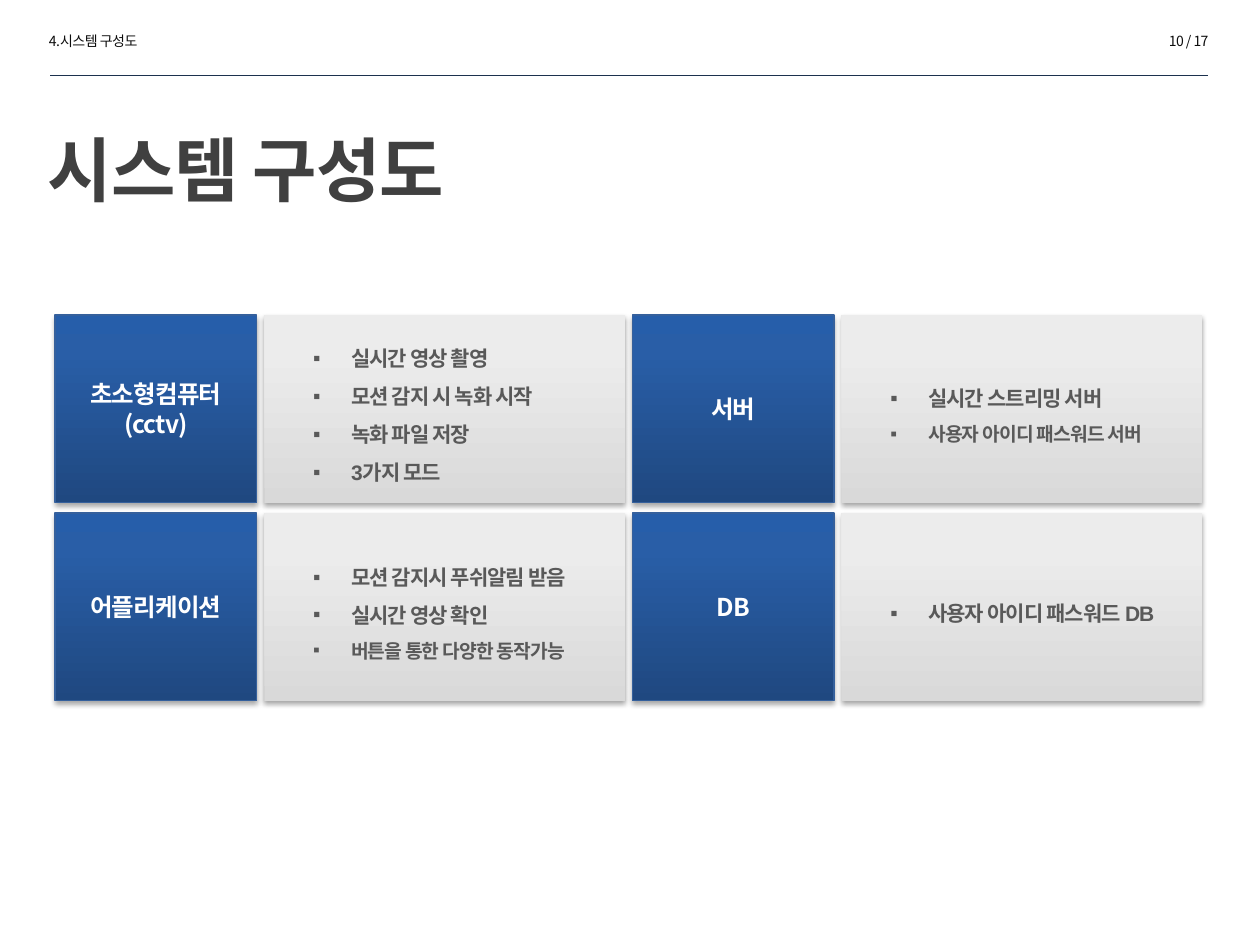
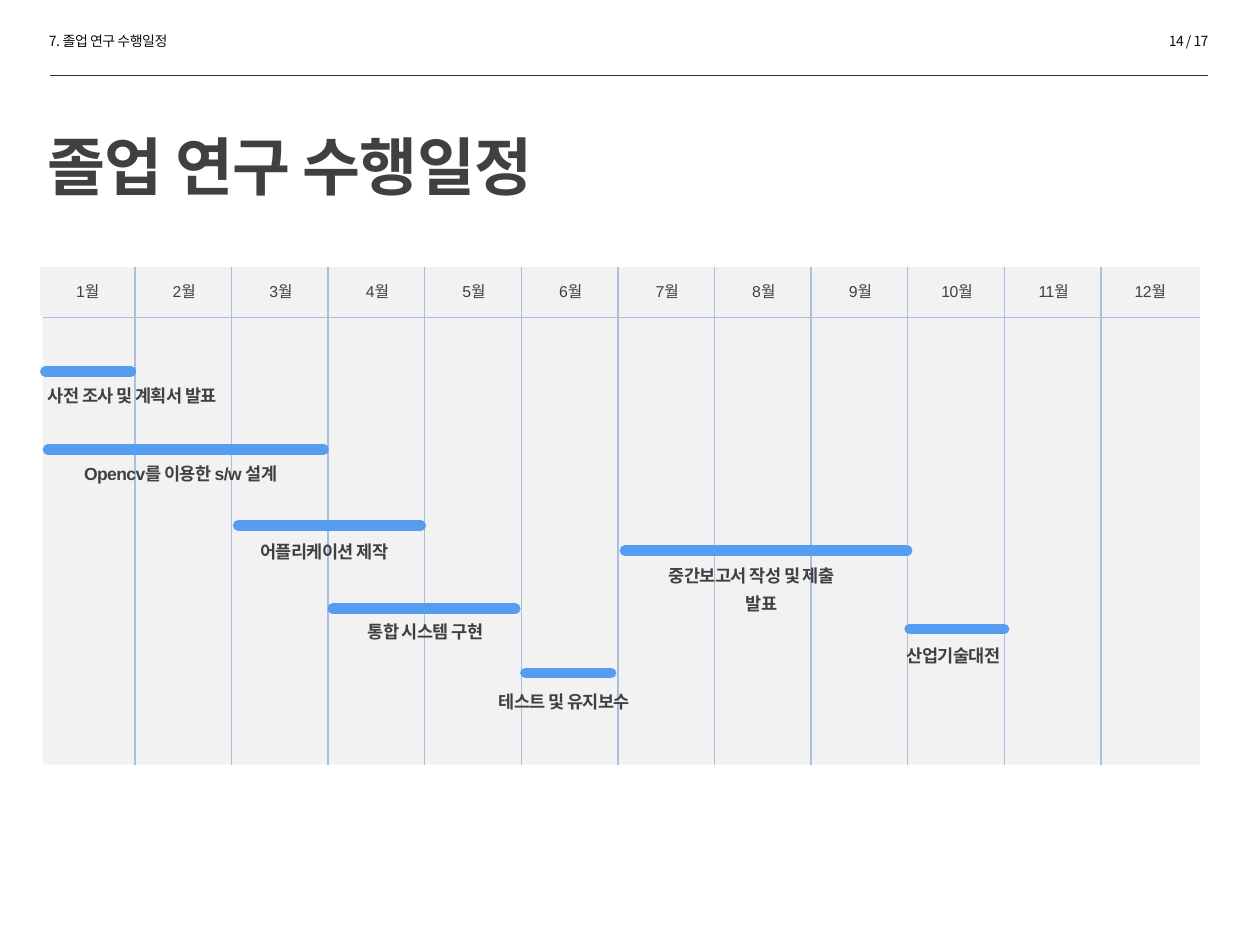
from dataclasses import dataclass

from lxml import etree
from pptx import Presentation
from pptx.dml.color import RGBColor
from pptx.enum.shapes import MSO_CONNECTOR, MSO_SHAPE
from pptx.enum.text import MSO_ANCHOR, PP_ALIGN
from pptx.oxml.ns import qn
from pptx.util import Pt

RECTANGLE = MSO_SHAPE.RECTANGLE
STRAIGHT = MSO_CONNECTOR.STRAIGHT
LEFT, CENTER, RIGHT = PP_ALIGN.LEFT, PP_ALIGN.CENTER, PP_ALIGN.RIGHT
TOP, MIDDLE = MSO_ANCHOR.TOP, MSO_ANCHOR.MIDDLE


@dataclass(frozen=True)
class Theme:
    body_font: str = "Arial"
    korean_font: str = "Noto Sans CJK KR"
    running_text: str = "0D0D0D"
    heading: str = "404040"
    body_text: str = "595959"
    white: str = "FFFFFF"
    header_rule: str = "1C314E"
    name_border: str = "35609C"
    name_gradient: tuple = ((0, "1F4880"), (80, "295EA7"), (100, "265EAA"))
    detail_gradient: tuple = ((0, "D9D9D9"), (80, "ECECEC"))
    panel: str = "F2F2F2"
    grid: str = "A8BFDF"
    bar: str = "569CF0"
    running_size: float = 8
    name_size: float = 14
    detail_size: float = 12
    small_detail_size: float = 11
    month_size: float = 9
    task_size: float = 10


THEME = Theme()

COMPONENTS = [
    (0, 0, ["초소형컴퓨터", "(cctv)"],
     ["실시간 영상 촬영", "모션 감지 시 녹화 시작", "녹화 파일 저장", "3가지 모드"]),
    (0, 1, ["어플리케이션"],
     ["모션 감지시 푸쉬알림 받음", "실시간 영상 확인", "버튼을 통한 다양한 동작가능"]),
    (1, 0, ["서버"], ["실시간 스트리밍 서버", "사용자 아이디 패스워드 서버"]),
    (1, 1, ["DB"], ["사용자 아이디 패스워드 DB"]),
]
SMALL_DETAILS = {"버튼을 통한 다양한 동작가능", "사용자 아이디 패스워드 서버"}

TASK_LABELS = [
    ("사전 조사 및 계획서 발표", -4.3, 62.7, 129),
    ("Opencv를 이용한 s/w 설계", 16.5, 107.3, 136),
    ("어플리케이션 제작", 117.3, 152, 103),
    ("통합 시스템 구현", 178.5, 197.3, 92),
    ("테스트 및 유지보수", 253.4, 237.6, 103),
    ("중간보고서 작성 및 제출", 350.6, 165.6, 124),
    ("발표", 394.5, 181.5, 38),
    ("산업기술대전", 486.7, 211, 75),
]
TASK_BARS = [
    (1.4, 50.4, 59.8),
    (2.9, 160.5, 104.4),
    (111.6, 216, 147.6),
    (165.6, 270, 195.2),
    (275.7, 324.7, 231.9),
    (332.6, 493.9, 162),
    (495.3, 549.3, 206.7),
]


def write_text(shape, lines, *, size, color, font=THEME.body_font, bold=False,
               align=LEFT, anchor=TOP, spacing=None, tracking=-30,
               wrap=True, bullet=None, sizes=None):
    frame = shape.text_frame
    frame.word_wrap = wrap
    frame.vertical_anchor = anchor
    for index, line in enumerate(lines):
        paragraph = frame.paragraphs[0] if index == 0 else frame.add_paragraph()
        paragraph.alignment = align
        if spacing:
            paragraph.line_spacing = spacing
        if bullet:
            properties = paragraph._p.get_or_add_pPr()
            properties.set("marL", str(Pt(42.5)))
            properties.set("indent", str(-Pt(21.6)))
            etree.SubElement(properties, qn("a:buFont"), typeface=THEME.body_font)
            etree.SubElement(properties, qn("a:buChar"), char=bullet)
        run = paragraph.add_run()
        run.text = line
        run.font.size = Pt((sizes or {}).get(line, size))
        run.font.bold = bold
        run.font.name = font
        run.font.color.rgb = RGBColor.from_string(color)
        run_properties = run._r.get_or_add_rPr()
        run_properties.set("spc", str(tracking))
        etree.SubElement(run_properties, qn("a:ea"), typeface=THEME.korean_font)


def add_label(slide, box, text, **text_format):
    label = slide.shapes.add_textbox(*map(Pt, box))
    write_text(label, [text], **text_format)


def add_panel(slide, box, fill=None):
    panel = slide.shapes.add_shape(RECTANGLE, *map(Pt, box))
    panel.shadow.inherit = False
    panel.line.fill.background()
    if fill:
        panel.fill.solid()
        panel.fill.fore_color.rgb = RGBColor.from_string(fill)
    return panel


def add_raised_panel(slide, box, gradient):
    panel = add_panel(slide, box)
    panel.fill.gradient()
    panel.fill.gradient_angle = 90
    properties = panel._element.spPr
    stops = properties.find(qn("a:gradFill")).find(qn("a:gsLst"))
    for stop in list(stops):
        stops.remove(stop)
    for position, color in gradient:
        stop = etree.SubElement(stops, qn("a:gs"), pos=str(position * 1000))
        etree.SubElement(stop, qn("a:srgbClr"), val=color)
    shadow = etree.SubElement(
        properties.find(qn("a:effectLst")), qn("a:outerShdw"),
        blurRad=str(Pt(3.1)), dist=str(Pt(1.8)), dir="5400000", rotWithShape="0")
    shade = etree.SubElement(shadow, qn("a:srgbClr"), val="000000")
    etree.SubElement(shade, qn("a:alpha"), val="35000")
    return panel


def add_line(slide, start, end, color, width, round_ends=False):
    line = slide.shapes.add_connector(STRAIGHT, *map(Pt, (*start, *end)))
    line.line.color.rgb = RGBColor.from_string(color)
    line.line.width = Pt(width)
    if round_ends:
        line.line._get_or_add_ln().set("cap", "rnd")
    etree.SubElement(line._element.spPr, qn("a:effectLst"))


def add_header(slide, section, page, title, title_box, title_size):
    running = dict(size=THEME.running_size, color=THEME.running_text,
                   font=THEME.korean_font)
    add_label(slide, (20.9, 15.1, 124.6, 17.3), section, **running)
    add_label(slide, (573.1, 15.1, 124.6, 17.3), page, align=RIGHT, **running)
    add_line(slide, (28.8, 43.2), (690.5, 43.2), THEME.header_rule, 0.25)
    add_label(slide, title_box, title, size=title_size, color=THEME.heading,
              bold=True, anchor=MIDDLE, spacing=1.75, tracking=-50)


def add_component(slide, box, names, details):
    left, top, width, height = box
    name_width, gap = 115.2, 4.3
    name_panel = add_raised_panel(
        slide, (left, top, name_width, height), THEME.name_gradient)
    name_panel.line.color.rgb = RGBColor.from_string(THEME.name_border)
    name_panel.line.width = Pt(0.75)
    write_text(name_panel, names, size=THEME.name_size, color=THEME.white,
               font=THEME.korean_font, bold=True, align=CENTER, anchor=MIDDLE,
               tracking=-50)
    detail_left = name_width + gap
    detail_panel = add_raised_panel(
        slide, (left + detail_left, top, width - detail_left, height),
        THEME.detail_gradient)
    write_text(detail_panel, details, size=THEME.detail_size,
               color=THEME.body_text, bold=True, anchor=MIDDLE, spacing=1.5,
               tracking=-50, bullet="▪",
               sizes=dict.fromkeys(SMALL_DETAILS, THEME.small_detail_size))


def add_component_grid(slide, box):
    left, top, width, height = box
    column_gap, row_gap = 4.3, 5.8
    cell_width = (width - column_gap) / 2
    cell_height = (height - row_gap) / 2
    for column, row, names, details in COMPONENTS:
        cell = (left + column * (cell_width + column_gap),
                top + row * (cell_height + row_gap), cell_width, cell_height)
        add_component(slide, cell, names, details)


def add_schedule(slide, box):
    left, top, width, height = box
    month_pitch, month_width, month_height = 55.2, 54, 28.1
    first_month = left - 1.4
    add_panel(slide, box, THEME.panel)
    for month in range(12):
        cell_left = first_month + month * month_pitch
        cell = add_panel(slide, (cell_left, top, month_width, month_height),
                         THEME.panel)
        write_text(cell, [f"{month + 1}월"], size=THEME.month_size,
                   color=THEME.heading, align=CENTER, anchor=MIDDLE, wrap=False)
    add_line(slide, (left, top + 28.8), (left + width, top + 28.8), THEME.grid, 0.5)
    for month in range(1, 12):
        x = first_month + month * month_pitch - 1.2
        add_line(slide, (x, top), (x, top + height), THEME.grid, 0.75)
    for text, x, y, label_width in TASK_LABELS:
        add_label(slide, (left + x, top + y, label_width, 20.9), text,
                  size=THEME.task_size, color=THEME.heading, bold=True, spacing=1.1)
    for start, end, y in TASK_BARS:
        add_line(slide, (left + start, top + y), (left + end, top + y),
                 THEME.bar, 6, round_ends=True)


def build_system_slide(slide):
    add_header(slide, "4.시스템 구성도", "10 / 17", "시스템 구성도",
               (20.2, 55.4, 550.8, 46.1), 40)
    add_component_grid(slide, (31.5, 180, 655.4, 220.4))


def build_schedule_slide(slide):
    add_header(slide, "7. 졸업 연구 수행일정", "14 / 17", "졸업 연구 수행일정",
               (20.2, 48.2, 668.2, 59.8), 36)
    add_schedule(slide, (24.5, 152.6, 661, 284.4))


def main():
    presentation = Presentation()
    presentation.slide_width = Pt(720)
    presentation.slide_height = Pt(540)
    blank = presentation.slide_layouts[6]
    for build in (build_system_slide, build_schedule_slide):
        build(presentation.slides.add_slide(blank))
    presentation.save("out.pptx")


if __name__ == "__main__":
    main()
